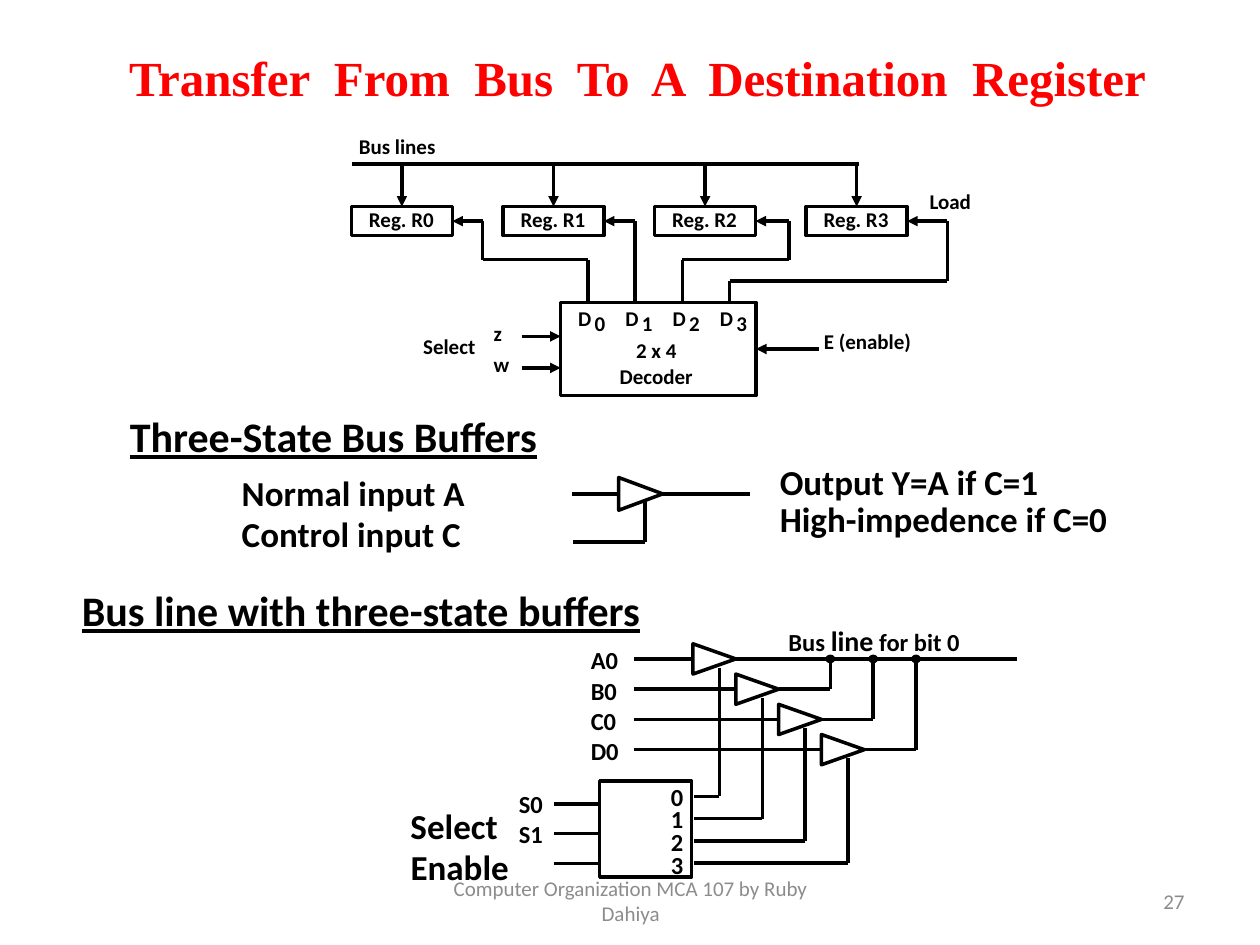
import pptx
import pptx.util
import pptx.dml.color
import pptx.enum.shapes
import pptx.enum.text
import pptx.oxml.ns
import lxml.etree

SHAPE = pptx.enum.shapes.MSO_SHAPE
ALIGN = pptx.enum.text.PP_ALIGN
ANCHOR = pptx.enum.text.MSO_ANCHOR
FIT = pptx.enum.text.MSO_AUTO_SIZE
TOP, RIGHT = 0, 3


def unit(n):
    """Length of n grid cells; the slide is 100 columns by 75 rows."""
    return pptx.util.Inches(n / 10)


def tint(code):
    return pptx.dml.color.RGBColor.from_string(code)


class Board:
    font = "Calibri"
    black, white, red, grey = "000000", "FFFFFF", "FF0000", "8C8C8C"
    weight = 2

    def __init__(self, slide):
        self.slide = slide
        self.shapes = slide.shapes

    def run(self, para, words, size, color=black, font=font, bold=True, under=None):
        run = para.add_run()
        run.text = words
        run.font.size = pptx.util.Pt(size)
        run.font.name = font
        run.font.bold = bold
        run.font.underline = under
        run.font.color.rgb = tint(color)

    def title(self, words, *box):
        shape = self.shapes.title
        shape.left, shape.top, shape.width, shape.height = map(unit, box)
        frame = shape.text_frame
        self.frame(frame, 0.7, 0.3, True)
        frame.paragraphs[0].alignment = ALIGN.CENTER
        self.run(frame.paragraphs[0], words, 28, self.red, "Times New Roman")

    def frame(self, frame, side, edge, wrap):
        frame.margin_left = frame.margin_right = unit(side)
        frame.margin_top = frame.margin_bottom = unit(edge)
        frame.word_wrap = wrap
        frame.vertical_anchor = ANCHOR.TOP
        frame.auto_size = FIT.NONE if wrap else FIT.SHAPE_TO_FIT_TEXT

    def box(self, box):
        return self.shapes.add_textbox(*map(unit, box)).text_frame

    def label(self, box, *lines, size=12):
        """Each line is a string, or a list of (words, size) runs."""
        frame = self.box(box)
        self.frame(frame, 1, 0.5, False)
        for i, line in enumerate(lines):
            para = frame.add_paragraph() if i else frame.paragraphs[0]
            para.line_spacing = 0.9
            for words, pts in [(line, size)] if isinstance(line, str) else line:
                self.run(para, words, pts)

    def head(self, words, *box):
        frame = self.box(box)
        self.frame(frame, 0.7, 0.3, False)
        frame.paragraphs[0].line_spacing = 0.85
        self.run(frame.paragraphs[0], words, 24, under=True)

    def foot(self, words, align, *box):
        frame = self.box(box)
        self.frame(frame, 1, 0.5, True)
        frame.vertical_anchor = ANCHOR.MIDDLE
        frame.paragraphs[0].alignment = align
        self.run(frame.paragraphs[0], words, 12, self.grey, bold=False)

    def style(self, shape, fill=None):
        shape.shadow.inherit = False
        if fill:
            shape.fill.solid()
            shape.fill.fore_color.rgb = tint(fill)
        else:
            shape.fill.background()
        shape.line.color.rgb = tint(self.black)
        shape.line.width = pptx.util.Pt(self.weight)
        return shape

    def block(self, *box, kind=SHAPE.RECTANGLE, fill=white):
        return self.style(self.shapes.add_shape(kind, *map(unit, box)), fill)

    def buffer(self, x, y, w, h):
        """Triangle pointing right, with the middle of its left side at x, y."""
        pen = self.shapes.build_freeform(unit(x), unit(y - h / 2), scale=1.0)
        pen.add_line_segments([(unit(x + w), unit(y)), (unit(x), unit(y + h / 2))], close=True)
        self.style(pen.convert_to_shape())

    def wire(self, *points, arrow=False, join=None):
        """Straight pieces through the points; join is (shape, side) for the last."""
        qn = pptx.oxml.ns.qn
        for start, end in zip(points, points[1:]):
            line = self.shapes.add_connector(
                pptx.enum.shapes.MSO_CONNECTOR.STRAIGHT, *map(unit, start + end))
            line.line.color.rgb = tint(self.black)
            line.line.width = pptx.util.Pt(self.weight)
            lxml.etree.SubElement(line._element.spPr, qn("a:effectLst"))
        if arrow:
            lxml.etree.SubElement(line.line._get_or_add_ln(), qn("a:tailEnd"), type="triangle")
        if join:
            line.end_connect(*join)


def decoder(board):
    board.wire((27.9, 13), (68.2, 13))
    board.label((27.5, 10.3, 9.4, 2.8), "Bus lines")
    core = board.block(44.5, 24, 15.5, 7.4)
    # Row where each output turns, and column where it rises to its register
    turns = [(20.6, 38.3), (None, 50.4), (20.6, 62.6), (22.3, 75.2)]
    mid = 17.55
    for i, (turn, rise) in enumerate(turns):
        x = 27.9 + 12.03 * i
        reg = board.block(x, 16.4, 8, 2.3)
        board.label((x + 0.4, 16.1, 8.2, 2.8), f"Reg. R{i}")
        board.wire((x + 4, 13), (x + 4, 16.4), arrow=True, join=(reg, TOP))
        out = 46.65 + 3.75 * i
        bend = [(out, turn), (rise, turn)] if turn else []
        board.wire((out, 24), *bend, (rise, mid), (x + 8, mid), arrow=True, join=(reg, RIGHT))
        board.label((out - 1.75, 24, 3.2, 2.8), "D")
        board.label((out - 0.45, 24.4, 2.9, 2.8), str(i))
    board.label((49.5, 26.5, 5.7, 2.8), "2 x 4")
    board.label((48.2, 28.6, 8.6, 2.8), "Decoder")
    board.label((72.8, 14.7, 6, 2.8), "Load")
    board.label((32.6, 26.2, 6.9, 2.8), "Select")
    board.label((64.4, 25.8, 9.9, 2.8), "E (enable)")
    board.wire((65, 27.7), (60, 27.7), arrow=True, join=(core, RIGHT))
    for name, y, w in [("z", 26.7, 2.8), ("w", 29.2, 3.3)]:
        board.label((38.2, y - 1.55, w, 2.8), name)
        board.wire((41.4, y), (44.5, y), arrow=True)


def gate(board):
    board.head("Three-State Bus Buffers", 9.6, 32.9, 34.2, 4)
    board.buffer(49.1, 39.2, 3.5, 2.6)
    board.wire((45.4, 39.2), (49.1, 39.2))
    board.wire((52.6, 39.2), (59.5, 39.2))
    board.wire((45.5, 43), (51.2, 43), (51.2, 39.8))
    board.label((18.2, 37.3, 19.8, 4), "Normal input A", size=20)
    board.label((18.2, 40.6, 19.5, 4), "Control input C", size=20)
    board.label((60.9, 36.4, 28.2, 7), "Output Y=A if C=1", "High-impedence if C=0", size=20)


def bus(board):
    board.head("Bus line with three-state buffers", 5.8, 46.7, 46.3, 4)
    board.block(47.6, 62, 7.3, 7.6, fill=None)
    top = 52.3
    for i, name in enumerate(["A0", "B0", "C0", "D0"]):
        x, y = 55 + 3.4 * i, top + 2.4 * i
        board.label((45.9, y - 1.3, 4.5, 3.1), name, size=14)
        board.wire((50.3, y), (x, y))
        board.buffer(x, y, 3.4, 2.4)
        if i:
            tap = x + 7.5
            board.wire((x + 3.4, y), (tap, y), (tap, top))
            board.block(tap - 0.25, top - 0.2, 0.5, 0.4, kind=SHAPE.OVAL, fill=board.black)
        else:
            board.wire((x + 3.4, y), (80.7, y))
        pin = 63.2 + 1.77 * i
        board.wire((x + 2.1, y + 0.7), (x + 2.1, pin), (55.1, pin))
        board.label((52.25, 61.8 + 1.8 * i, 3.1, 3.1), str(i), size=14)
    for i in range(3):
        y = 63.8 + 2.36 * i
        board.wire((47.6, y), (44, y))
        if i < 2:
            board.label((40.2, y - 1.4, 4.4, 3.1), f"S{i}", size=14)
    board.label((31.6, 63.7, 9, 4), "Select", size=20)
    board.label((31.6, 67, 9.9, 4), "Enable", size=20)
    board.label((61.6, 49.3, 15.7, 3.4), [("Bus ", 14), ("line", 16), (" for bit 0", 14)])


def main():
    deck = pptx.Presentation()
    deck.slide_width, deck.slide_height = unit(100), unit(75)
    board = Board(deck.slides.add_slide(deck.slide_layouts[5]))
    board.foot("Computer Organization MCA 107 by Ruby Dahiya", ALIGN.CENTER, 34.2, 69.5, 31.7, 4)
    board.foot("27", ALIGN.RIGHT, 71.7, 69.5, 23.3, 4)
    board.title("Transfer  From  Bus  To  A  Destination  Register", 2.4, 3.5, 96.4, 5.3)
    decoder(board)
    gate(board)
    bus(board)
    deck.save("out.pptx")


if __name__ == "__main__":
    main()
